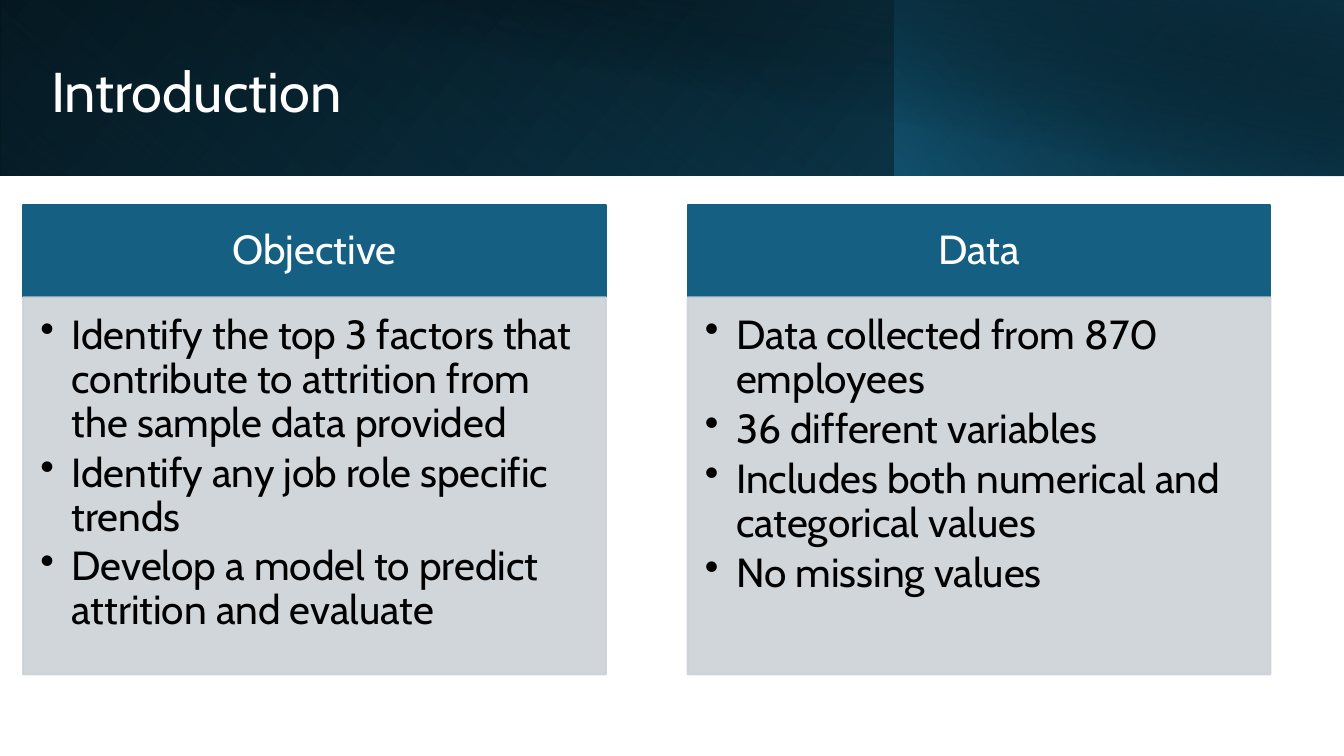
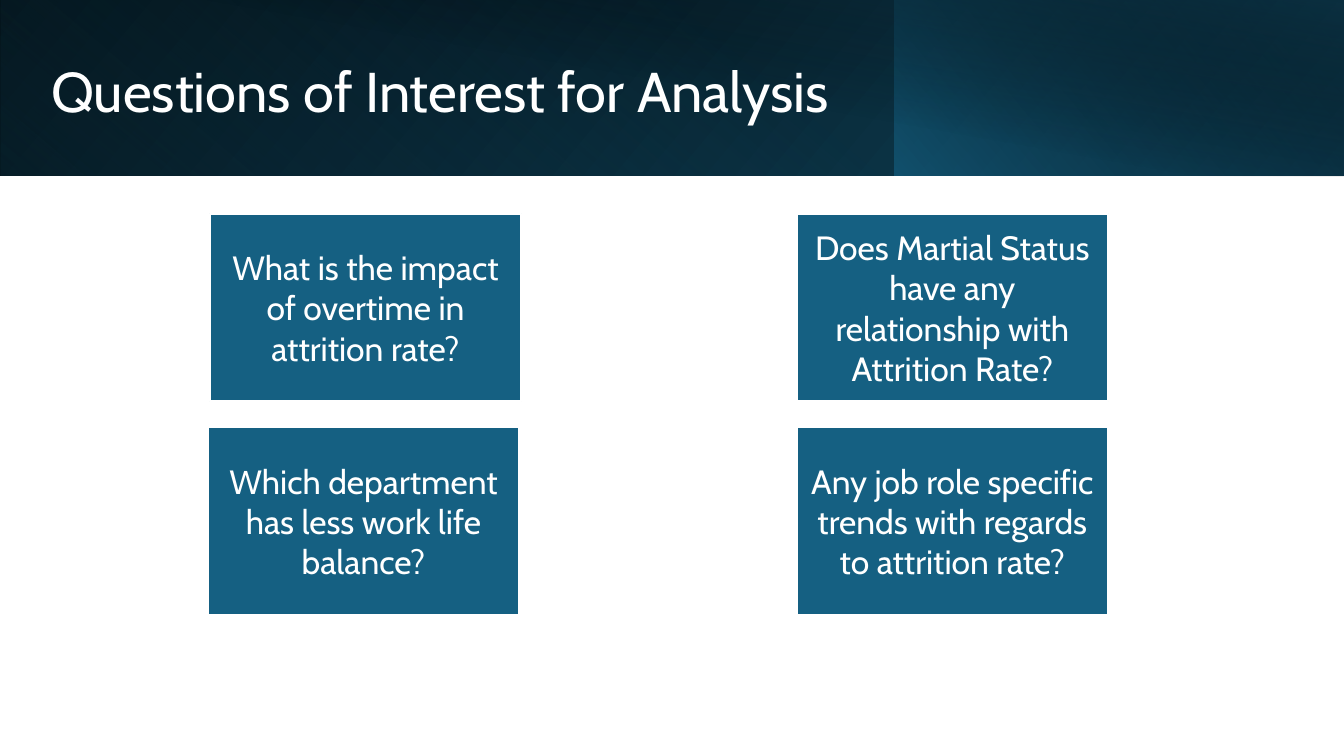
from dataclasses import dataclass

from pptx import Presentation
from pptx.dml.color import RGBColor
from pptx.enum.shapes import MSO_SHAPE
from pptx.enum.text import MSO_ANCHOR, PP_ALIGN
from pptx.oxml.ns import qn
from pptx.oxml.xmlchemy import OxmlElement
from pptx.util import Emu, Pt


@dataclass(frozen=True)
class Theme:
    font: str = "Cabin"
    white: str = "FFFFFF"
    black: str = "000000"
    blue: str = "156082"
    mid_blue: str = "104862"
    dark_blue: str = "0B3041"
    grey: str = "CCD2D8"
    title_size: int = 40
    list_size: int = 29
    question_size: int = 24
    line_width: float = 1.5


THEME = Theme()
EMU_PER_PX = 9144  # 100 px to the inch
SLIDE_SIZE = (1333, 750)

# Title band layers: box, (position, colour, opacity) stops, clockwise angle, flip, rotation
BAND_LAYERS = [
    ((0, 0, 1333, 174), [(0, THEME.black, 100), (100, THEME.mid_blue, 100)], 140, True, 0),
    ((0, 0, 888, 174), [(20, THEME.blue, 0), (100, THEME.dark_blue, 55)], 230, True, 180),
    ((887, 0, 446, 174), [(0, THEME.blue, 66), (100, THEME.black, 30)], 220, True, 0),
    ((50, 0, 1283, 175), [(50, THEME.black, 0), (99, THEME.dark_blue, 52)], 280, False, 0),
]

COLUMNS = [
    ("Objective", [
        "Identify the top 3 factors that contribute to attrition from the sample data provided",
        "Identify any job role specific trends",
        "Develop a model to predict attrition and evaluate",
    ]),
    ("Data", [
        "Data collected from 870 employees",
        "36 different variables",
        "Includes both numerical and categorical values",
        "No missing values",
    ]),
]

# Each row: (left, question) pairs
QUESTION_ROWS = [
    [(208, "What is the impact of overtime in attrition rate?"),
     (790, "Does Martial Status have any relationship with Attrition Rate?")],
    [(206, "Which department has less work life balance?"),
     (790, "Any job role specific trends with regards to attrition rate?")],
]


def px(value):
    return Emu(value * EMU_PER_PX)


def rgb(color):
    return RGBColor.from_string(color)


def set_opacity(color_element, percent):
    alpha = OxmlElement("a:alpha")
    alpha.set("val", str(percent * 1000))
    color_element.append(alpha)


def color_elements(shape):
    return list(shape.element.spPr.iter(qn("a:srgbClr")))


# Basic elements
def add_rectangle(slide, box):
    shape = slide.shapes.add_shape(MSO_SHAPE.RECTANGLE, *map(px, box))
    shape.shadow.inherit = False
    return shape


def add_filled_box(slide, box, fill, line, opacity=100):
    shape = add_rectangle(slide, box)
    shape.fill.solid()
    shape.fill.fore_color.rgb = rgb(fill)
    shape.line.color.rgb = rgb(line)
    shape.line.width = Pt(THEME.line_width)
    if opacity < 100:
        for element in color_elements(shape):
            set_opacity(element, opacity)
    return shape


def add_gradient_box(slide, box, stops, angle, flipped, rotation):
    shape = add_rectangle(slide, box)
    shape.line.fill.background()
    shape.fill.gradient()
    shape.fill.gradient_angle = 360 - angle  # counter-clockwise in python-pptx
    for stop, (position, color, _) in zip(shape.fill.gradient_stops, stops):
        stop.position = position / 100
        stop.color.rgb = rgb(color)
    for element, (_, _, opacity) in zip(color_elements(shape), stops):
        set_opacity(element, opacity)
    shape.rotation = rotation
    if flipped:
        shape.element.spPr.find(qn("a:xfrm")).set("flipH", "1")


def write_text(shape, text, size, color, align=PP_ALIGN.CENTER, anchor=MSO_ANCHOR.MIDDLE,
               insets=(10, 10, 10, 10), line_spacing=1.0):
    frame = shape.text_frame
    frame.word_wrap = True
    frame.vertical_anchor = anchor
    (frame.margin_left, frame.margin_top,
     frame.margin_right, frame.margin_bottom) = map(px, insets)
    frame.text = text
    for paragraph in frame.paragraphs:
        paragraph.alignment = align
        paragraph.line_spacing = line_spacing
        for run in paragraph.runs:
            run.font.name = THEME.font
            run.font.size = Pt(size)
            run.font.color.rgb = rgb(color)
    return frame.paragraphs


def add_bullet(paragraph, indent):
    properties = paragraph._p.get_or_add_pPr()
    properties.set("marL", str(px(indent)))
    properties.set("indent", str(-px(indent)))
    bullet = OxmlElement("a:buChar")
    bullet.set("char", "•")
    properties.append(bullet)


# Slide parts
def add_titled_slide(presentation, title):
    slide = presentation.slides.add_slide(presentation.slide_layouts[6])
    for layer in BAND_LAYERS:
        add_gradient_box(slide, *layer)
    title_box = slide.shapes.add_textbox(*map(px, (41, 37, 1082, 113)))
    write_text(title_box, title, THEME.title_size, THEME.white, PP_ALIGN.LEFT,
               insets=(10, 5, 10, 5), line_spacing=0.9)
    return slide


def add_list_column(slide, left, heading, items):
    top, width, heading_height, list_height = 203, 578, 92, 374
    header = add_filled_box(slide, (left, top, width, heading_height), THEME.blue, THEME.blue)
    write_text(header, heading, THEME.list_size, THEME.white,
               insets=(23, 13, 23, 13), line_spacing=0.9)
    body = add_filled_box(slide, (left, top + heading_height, width, list_height),
                          THEME.grey, THEME.grey, opacity=90)
    paragraphs = write_text(body, "\n".join(items), THEME.list_size, THEME.black,
                            PP_ALIGN.LEFT, MSO_ANCHOR.TOP, (17, 17, 23, 25), 0.9)
    for paragraph in paragraphs:
        paragraph.space_after = Pt(THEME.list_size * 0.15)
        add_bullet(paragraph, 31)


def add_question(slide, left, top, question):
    card = add_filled_box(slide, (left, top, 309, 186), THEME.blue, THEME.white)
    write_text(card, question, THEME.question_size, THEME.white)


# Slides
def build_introduction(presentation):
    slide = add_titled_slide(presentation, "Introduction")
    for index, (heading, items) in enumerate(COLUMNS):
        add_list_column(slide, 23 + index * 659, heading, items)


def build_questions(presentation):
    slide = add_titled_slide(presentation, "Questions of Interest for Analysis")
    for index, row in enumerate(QUESTION_ROWS):
        for left, question in row:
            add_question(slide, left, 212 * (index + 1), question)


def main():
    presentation = Presentation()
    presentation.slide_width, presentation.slide_height = map(px, SLIDE_SIZE)
    build_introduction(presentation)
    build_questions(presentation)
    presentation.save("out.pptx")


if __name__ == "__main__":
    main()
